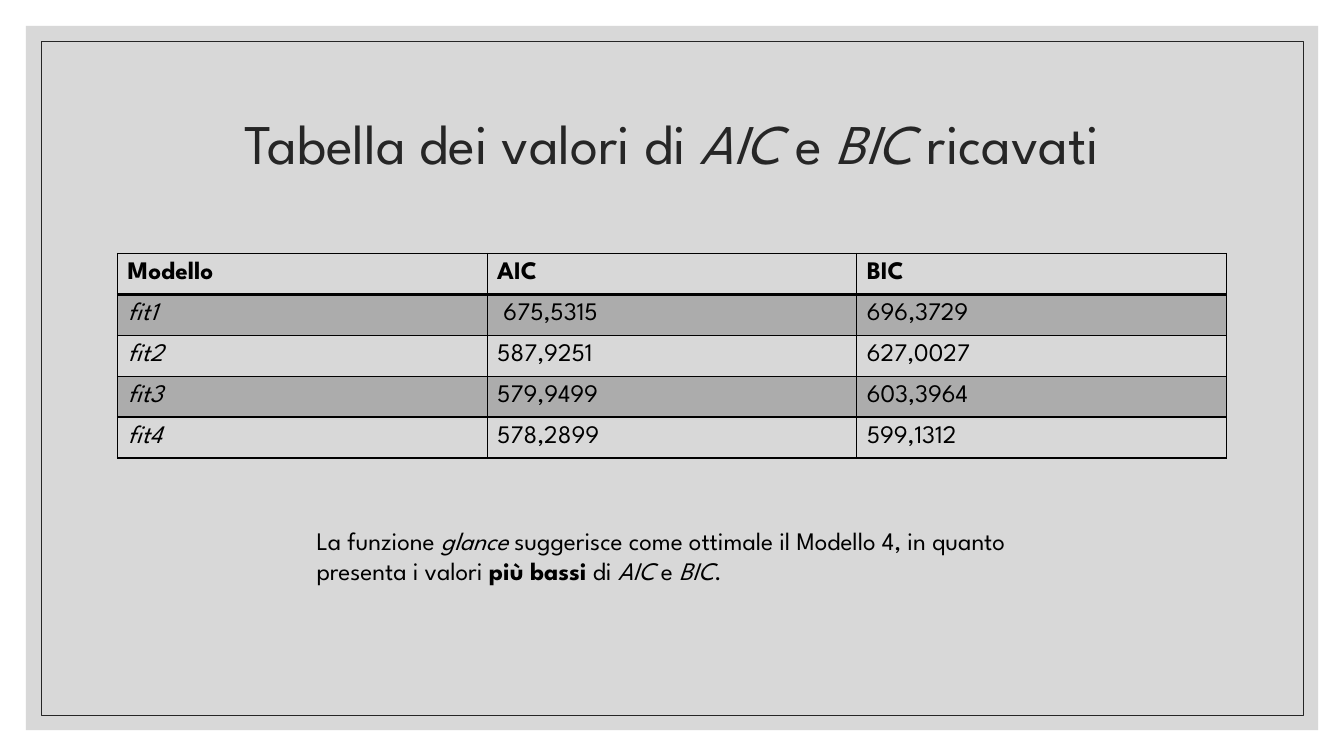
import pptx
import pptx.util
import pptx.dml.color
import pptx.enum.shapes
import pptx.enum.text
import lxml.etree

Pt = pptx.util.Pt
RGB = pptx.dml.color.RGBColor.from_string
ANCHOR = pptx.enum.text.MSO_ANCHOR
RECT = pptx.enum.shapes.MSO_SHAPE.RECTANGLE
NS = "http://schemas.openxmlformats.org/drawingml/2006/main"
HUES = {"panel": "BFBFBF", "dark": "262626", "black": "000000"}


def tint(fill, hue, alpha):
    """Fill with a hue, see-through to the given percent."""
    fill.solid()
    fill.fore_color.rgb = RGB(HUES[hue])
    # Direct child only, so that border colours stay untouched
    node = fill._xPr.find(f"{{{NS}}}solidFill/{{{NS}}}srgbClr")
    lxml.etree.SubElement(node, f"{{{NS}}}alpha", val=str(alpha * 1000))


def write(para, parts, size, hue):
    """Add (text, style) runs; style holds i for italic, b for bold."""
    for text, style in parts:
        run = para.add_run()
        run.text = text
        form = {"name": "League Spartan", "size": Pt(size),
                "bold": "b" in style, "italic": "i" in style}
        for key, value in form.items():
            setattr(run.font, key, value)
        run.font.color.rgb = RGB(HUES[hue])


deck = pptx.Presentation()
deck.slide_width, deck.slide_height = Pt(960), Pt(540)
slide = deck.slides.add_slide(deck.slide_layouts[6])
shapes = slide.shapes

# Grey panel and thin frame, both centred on the slide
panel, frame = [
    shapes.add_shape(RECT, Pt(gap), Pt(gap), Pt(960 - 2 * gap), Pt(540 - 2 * gap))
    for gap in (18.5, 29.25)]
for box in (panel, frame):
    box.shadow.inherit = False
tint(panel.fill, "panel", 60)
panel.line.fill.background()
frame.fill.background()
frame.line.color.rgb = RGB(HUES["dark"])
frame.line.width = Pt(0.5)

# Title
title = shapes.add_textbox(Pt(84), Pt(50.4), Pt(792), Pt(108)).text_frame
title.word_wrap = True
title.vertical_anchor = ANCHOR.MIDDLE
para = title.paragraphs[0]
para.alignment = pptx.enum.text.PP_ALIGN.CENTER
para.line_spacing = 0.9
write(para, [("Tabella dei valori di ", ""), ("AIC", "i"), (" e ", ""),
             ("BIC ", "i"), ("ricavati", "")], 40, "dark")

# Table of AIC and BIC for each model
rows = [("Modello", "AIC", "BIC"),
        ("fit1", " 675,5315", "696,3729"),
        ("fit2", "587,9251", "627,0027"),
        ("fit3", "579,9499", "603,3964"),
        ("fit4", "578,2899", "599,1312")]
high = 29.25
table = shapes.add_table(len(rows), 3, Pt(84), Pt(181), Pt(792),
                         Pt(high * len(rows))).table
table.first_row = table.horz_banding = False
for r, row in enumerate(rows):
    table.rows[r].height = Pt(high)
    for c, text in enumerate(row):
        cell = table.cell(r, c)
        cell.vertical_anchor = ANCHOR.MIDDLE
        style = "b" if r == 0 else "i" if c == 0 else ""
        write(cell.text_frame.paragraphs[0], [(text, style)], 18, "black")

        # Borders, with a thick rule under the header
        for side in "LRTB":
            thick = (r, side) in ((0, "B"), (1, "T"))
            edge = lxml.etree.SubElement(
                cell._tc.get_or_add_tcPr(), f"{{{NS}}}ln{side}",
                w=str(Pt(2 if thick else 1)))
            solid = lxml.etree.SubElement(edge, f"{{{NS}}}solidFill")
            lxml.etree.SubElement(solid, f"{{{NS}}}srgbClr", val=HUES["black"])

        # Dark bands on odd rows
        if r % 2:
            tint(cell.fill, "black", 20)
        else:
            cell.fill.background()

# Closing remark
note = shapes.add_textbox(Pt(219), Pt(371.5), Pt(522), Pt(51)).text_frame
note.word_wrap = True
write(note.paragraphs[0], [
    ("La funzione ", ""), ("glance", "i"),
    (" suggerisce come ottimale il Modello 4, in quanto presenta i valori ", ""),
    ("più bassi", "b"), (" di ", ""), ("AIC", "i"), (" e ", ""), ("BIC", "i"),
    (".", "")], 18, "black")

deck.save("out.pptx")
